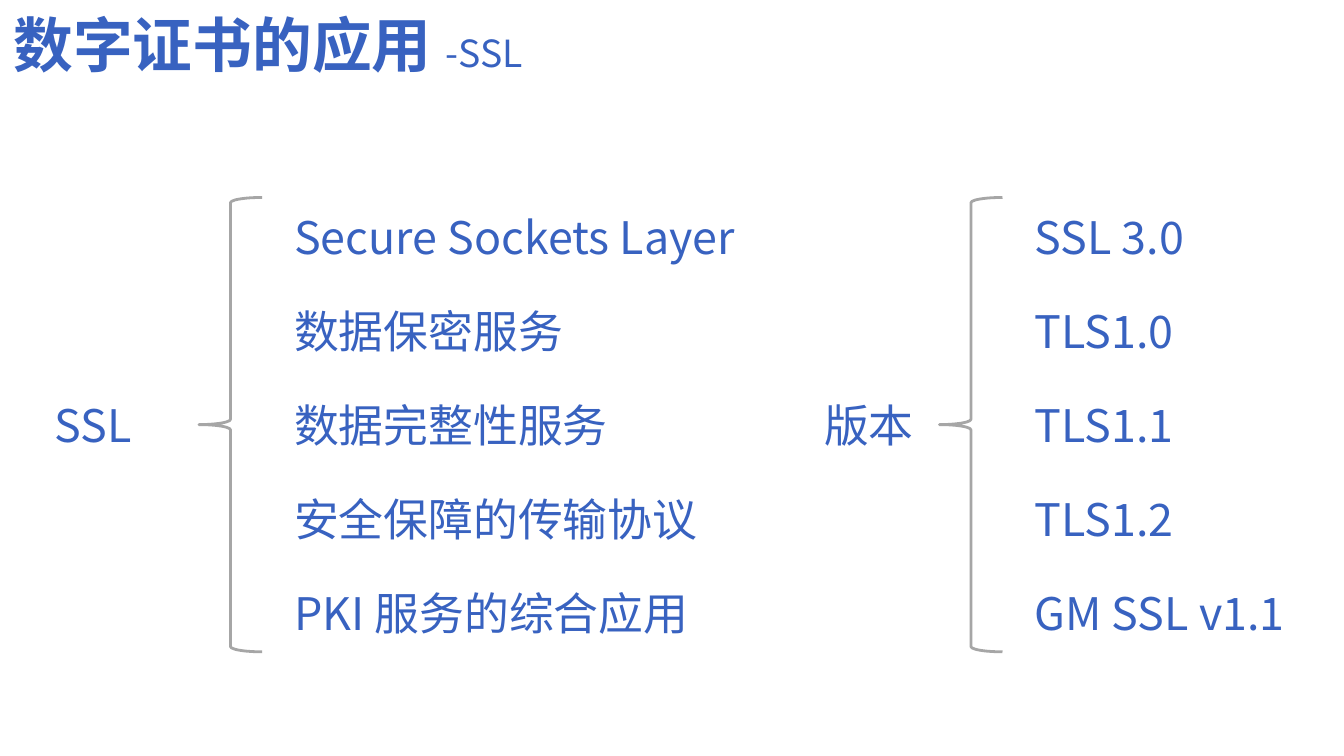
from lxml.etree import SubElement
from pptx import Presentation
from pptx.dml.color import RGBColor
from pptx.enum.shapes import MSO_SHAPE
from pptx.enum.text import MSO_ANCHOR, PP_ALIGN
from pptx.oxml.ns import qn
from pptx.util import Pt

theme = {
    "font": "Noto Sans CJK SC",
    "text": RGBColor(0x38, 0x62, 0xC0),
    "line": RGBColor(0xA6, 0xA6, 0xA6),
    "fill": RGBColor(0xFF, 0xFF, 0xFF),
    "title": Pt(32),
    "note": Pt(20),
    "body": Pt(24),
}


def style(run, size, bold=False):
    font = run.font
    font.name = theme["font"]
    font.size = size
    font.bold = bold
    font.color.rgb = theme["text"]
    SubElement(run._r.get_or_add_rPr(), qn("a:ea")).set("typeface", theme["font"])


def label(text, left, top, width, align=PP_ALIGN.LEFT):
    box = slide.shapes.add_textbox(Pt(left), Pt(top), Pt(width), Pt(42))
    frame = box.text_frame
    frame.word_wrap = True
    frame.vertical_anchor = MSO_ANCHOR.MIDDLE
    frame.text = text
    frame.paragraphs[0].alignment = align
    style(frame.paragraphs[0].runs[0], theme["body"])


deck = Presentation()
deck.slide_width, deck.slide_height = Pt(720), Pt(405)
slide = deck.slides.add_slide(deck.slide_layouts[5])

title = slide.shapes.title
title.left, title.top, title.width, title.height = Pt(0), Pt(8.6), Pt(406), Pt(35.3)
frame = title.text_frame
frame.vertical_anchor = MSO_ANCHOR.TOP
frame.margin_top = frame.margin_bottom = Pt(0)
head = frame.paragraphs[0]
head.alignment = PP_ALIGN.LEFT
head.line_spacing = 0.9
for text, size, bold in [
    ("数字证书的应用 ", theme["title"], True),
    ("-SSL", theme["note"], False),
]:
    run = head.add_run()
    run.text = text
    style(run, size, bold)

top, step = 105.8, 50.4
groups = [
    ("SSL", 14.4, 106.6, 150.5, 279.4, [
        "Secure Sockets Layer",
        "数据保密服务",
        "数据完整性服务",
        "安全保障的传输协议",
        "PKI 服务的综合应用",
    ]),
    ("版本", 429.8, 503.3, 547.2, 164.2, [
        "SSL 3.0",
        "TLS1.0",
        "TLS1.1",
        "TLS1.2",
        "GM SSL v1.1",
    ]),
]
for name, left, mid, right, width, items in groups:
    label(name, left, top + 2 * step, 71.3, PP_ALIGN.CENTER)
    brace = slide.shapes.add_shape(
        MSO_SHAPE.LEFT_BRACE, Pt(mid), Pt(top), Pt(33.8), Pt(243.4))
    brace.shadow.inherit = False
    brace.fill.solid()
    brace.fill.fore_color.rgb = theme["fill"]
    brace.line.color.rgb = theme["line"]
    brace.line.width = Pt(1.5)
    for row, item in enumerate(items):
        label(item, right, top + row * step, width)

deck.save("out.pptx")
